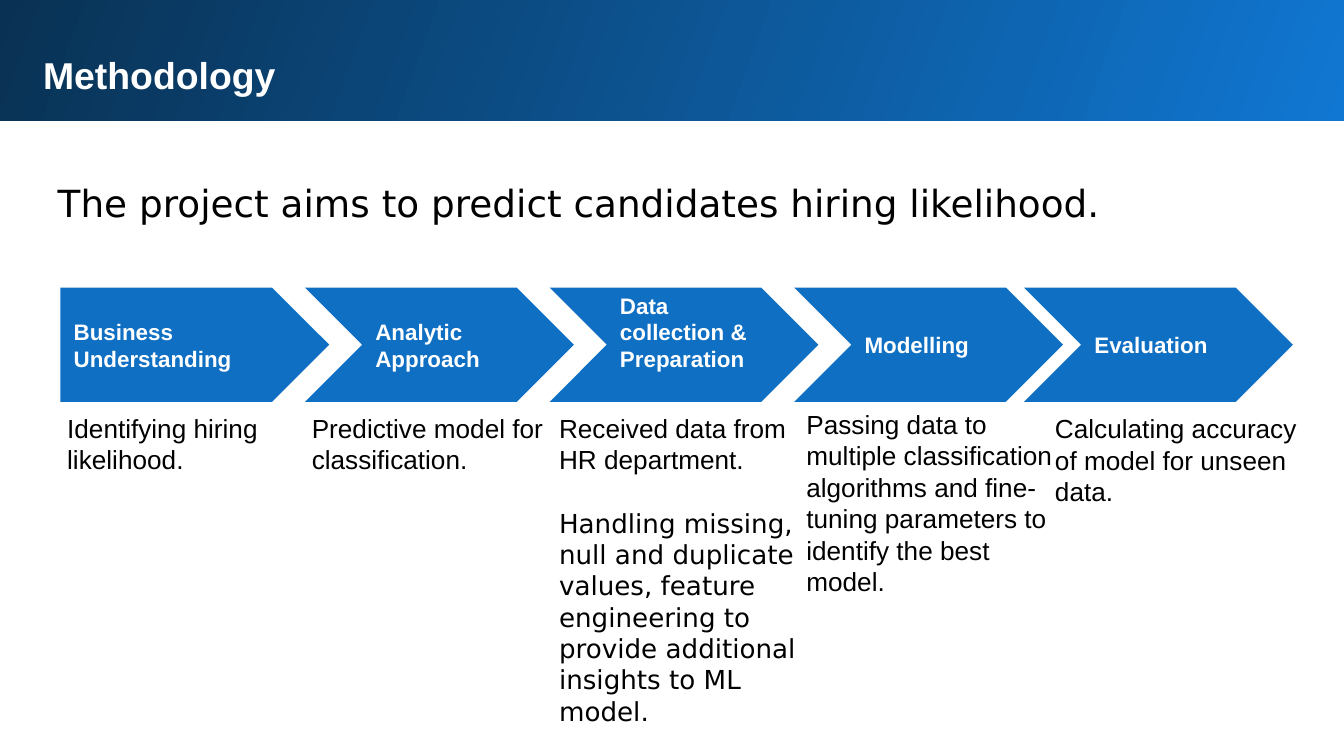
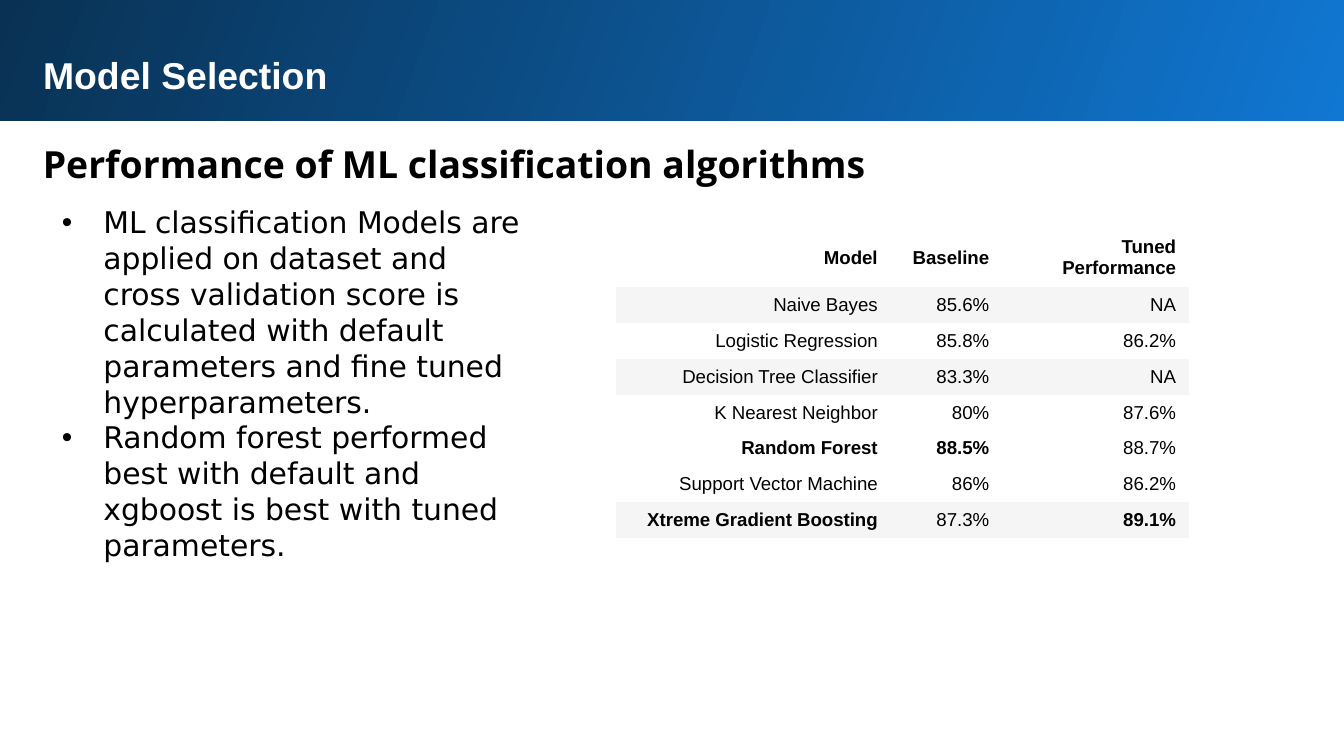
from pptx import Presentation
from pptx.dml.color import RGBColor
from pptx.enum import shapes, text
from pptx.oxml.ns import qn
from pptx.util import Inches, Pt
from lxml import etree

BLUE = RGBColor(0x0F, 0x6F, 0xC3)
BAND_BRIGHT = RGBColor(0x10, 0x77, 0xD2)
BAND_DARK = RGBColor(0x09, 0x31, 0x53)
WHITE = RGBColor(0xFF, 0xFF, 0xFF)
BLACK = RGBColor(0, 0, 0)
STRIPE = RGBColor(0xF5, 0xF5, 0xF5)
NO_STYLE = "{2D5ABB26-0587-4C30-8999-92F81FD0307C}"

HEADING = {"size": Pt(20), "name": "Arial", "bold": True}
BODY = {"size": Pt(14), "name": "Arial", "bold": False}
SANS = "DejaVu Sans"


def write(tf, paragraphs, inset, color=BLACK, align=text.PP_ALIGN.LEFT):
    """Fill a text frame with (wording, font values) pairs, one per paragraph."""
    tf.word_wrap = True
    for side in ("left", "top", "right", "bottom"):
        setattr(tf, f"margin_{side}", Inches(inset))
    for i, (words, font) in enumerate(paragraphs):
        p = tf.add_paragraph() if i else tf.paragraphs[0]
        p.alignment = align
        r = p.add_run()
        r.text = words
        r.font.color.rgb = color
        for key, value in font.items():
            setattr(r.font, key, value)


def add_box(s, box, paragraphs, inset=0.05):
    """Add a text box that grows with its text, and return its frame."""
    tf = s.shapes.add_textbox(*map(Inches, box)).text_frame
    write(tf, paragraphs, inset)
    tf.auto_size = text.MSO_AUTO_SIZE.SHAPE_TO_FIT_TEXT
    return tf


prs = Presentation()
prs.slide_width = Inches(10)
prs.slide_height = Inches(10) * 9 // 16  # widescreen

# Both slides: gradient band with the title on it
slides = []
for heading in ("Methodology", "Model Selection"):
    s = prs.slides.add_slide(prs.slide_layouts[5])
    band = s.shapes.add_shape(shapes.MSO_SHAPE.RECTANGLE, *map(Inches, (-0.02, -0.02, 10.05, 0.92)))
    band.shadow.inherit = False
    band.line.fill.background()
    band.fill.gradient()
    band.fill.gradient_angle = 160
    for stop, color in zip(band.fill.gradient_stops, (BAND_BRIGHT, BAND_DARK)):
        stop.color.rgb = color
    s.shapes._spTree.insert(2, band._element)  # behind the title

    title = s.shapes.title
    title.left, title.top, title.width, title.height = map(Inches, (0.22, 0.29, 9.37, 0.54))
    tf = title.text_frame
    write(tf, [(heading, HEADING)], 0.1, WHITE)
    tf.vertical_anchor = text.MSO_ANCHOR.TOP
    tf.auto_size = text.MSO_AUTO_SIZE.NONE
    slides.append(s)
methodology, selection = slides

# Methodology: aim, then five process steps with a note under each
add_box(methodology, (0.38, 1.29, 9.06, 1.35),
        [("The project aims to predict candidates hiring likelihood.",
          {"size": Pt(20), "name": SANS})])

steps = [  # arrow left, label, note left, note top, note height, note paragraphs
    (0.45, "Business Understanding", 0.45, 3.02, 0.57,
     [("Identifying hiring likelihood.", BODY)]),
    (2.27, "Analytic Approach", 2.27, 3.02, 0.57,
     [("Predictive model for classification.", BODY)]),
    (4.09, "Data collection & Preparation", 4.11, 3.02, 2.93,
     [("Received data from HR department.", BODY),
      ("Handling missing, null and duplicate values, feature engineering to "
       "provide additional insights to ML model.", {**BODY, "name": SANS})]),
    (5.91, "Modelling", 5.95, 2.99, 1.99,
     [("Passing data to multiple classification algorithms and fine-tuning "
       "parameters to identify the best model.", BODY)]),
    (7.62, "Evaluation", 7.8, 3.02, 1.28,
     [("Calculating accuracy of model for unseen data.", BODY)]),
]
for i, (left, label, note_left, note_top, note_height, note) in enumerate(steps):
    kind = shapes.MSO_SHAPE.CHEVRON if i else shapes.MSO_SHAPE.PENTAGON
    sp = methodology.shapes.add_shape(kind, *map(Inches, (left, 2.14, 2, 0.85)))
    sp.shadow.inherit = False
    sp.fill.solid()
    sp.fill.fore_color.rgb = BLUE
    sp.line.fill.background()
    tf = sp.text_frame
    write(tf, [(label, {**HEADING, "size": Pt(12)})], 0.1, WHITE)
    tf.vertical_anchor = text.MSO_ANCHOR.MIDDLE
    if label.startswith("Data"):  # three lines sit high in the arrow
        tf.vertical_anchor = text.MSO_ANCHOR.TOP
        tf.margin_top = Inches(0.03)
    tf = add_box(methodology, (note_left, note_top, 2, note_height), note)
    for p in tf.paragraphs[1:]:
        p.space_before = Pt(17)

# Model selection: subtitle, table of scores, bullets
tf = add_box(selection, (0.22, 0.9, 9.37, 0.56),
             [("Performance of ML classification algorithms", {**HEADING, "name": "Open Sans"})], 0.1)
tf.paragraphs[0].line_spacing = 1.15

scores = [
    ("Model", "Baseline", "Tuned Performance"),
    ("Naive Bayes", "85.6%", "NA"),
    ("Logistic Regression", "85.8%", "86.2%"),
    ("Decision Tree Classifier", "83.3%", "NA"),
    ("K Nearest Neighbor", "80%", "87.6%"),
    ("Random Forest", "88.5%", "88.7%"),
    ("Support Vector Machine", "86%", "86.2%"),
    ("Xtreme Gradient Boosting", "87.3%", "89.1%"),
]
best = {"Random Forest", "88.5%", "Xtreme Gradient Boosting", "89.1%"}
striped_rows = {1, 3, 7}
table = selection.shapes.add_table(len(scores), 3, *map(Inches, (4.58, 1.7, 4.28, 2.14))).table
table.first_row = table.horz_banding = False
table._tbl.tblPr.find(qn("a:tableStyleId")).text = NO_STYLE
for column, width in zip(table.columns, (2.05, 0.83, 1.39)):
    column.width = Inches(width)
for i, row in enumerate(scores):
    table.rows[i].height = Inches(2.14) // len(scores)
    for j, words in enumerate(row):
        cell = table.cell(i, j)
        font = {"size": Pt(10), "name": "Arial", "bold": i == 0 or words in best}
        write(cell.text_frame, [(words, font)], 0.05, align=text.PP_ALIGN.RIGHT)
        cell.margin_left = cell.margin_right = Inches(0.1)
        cell.margin_top = cell.margin_bottom = Inches(0.05)
        cell.vertical_anchor = text.MSO_ANCHOR.MIDDLE
        if i in striped_rows:
            cell.fill.solid()
            cell.fill.fore_color.rgb = STRIPE
        else:
            cell.fill.background()

bullet_font = {"size": Pt(16), "name": SANS}
tf = add_box(selection, (0.41, 1.47, 3.52, 3.06), [
    ("ML classification Models are applied on dataset and cross validation score is "
     "calculated with default parameters and fine tuned hyperparameters.", bullet_font),
    ("Random forest performed best with default and xgboost is best with tuned "
     "parameters.", bullet_font),
])
for p in tf.paragraphs:
    pPr = p._p.get_or_add_pPr()
    pPr.set("marL", str(Inches(0.31)))
    pPr.set("indent", str(-Inches(0.31)))
    etree.SubElement(pPr, qn("a:buFont"), typeface="Arial")
    etree.SubElement(pPr, qn("a:buChar"), char="•")

prs.save("out.pptx")
